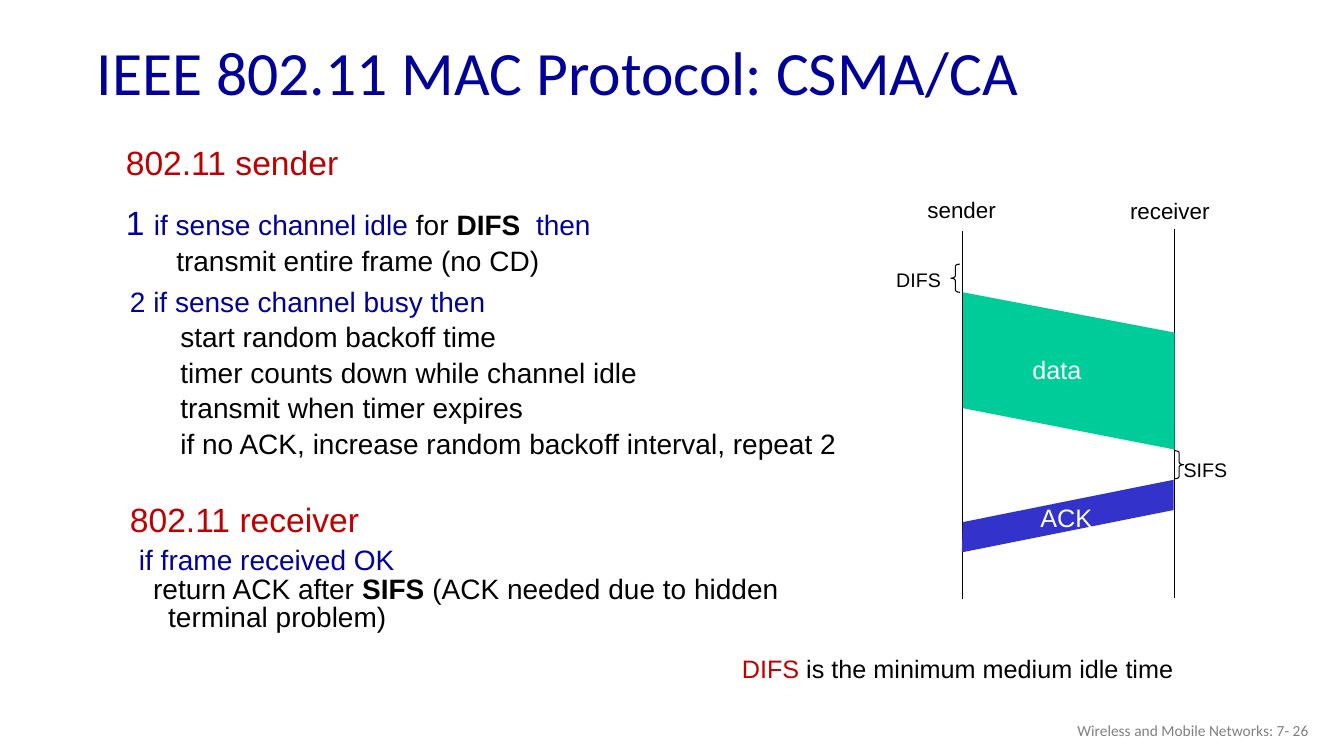
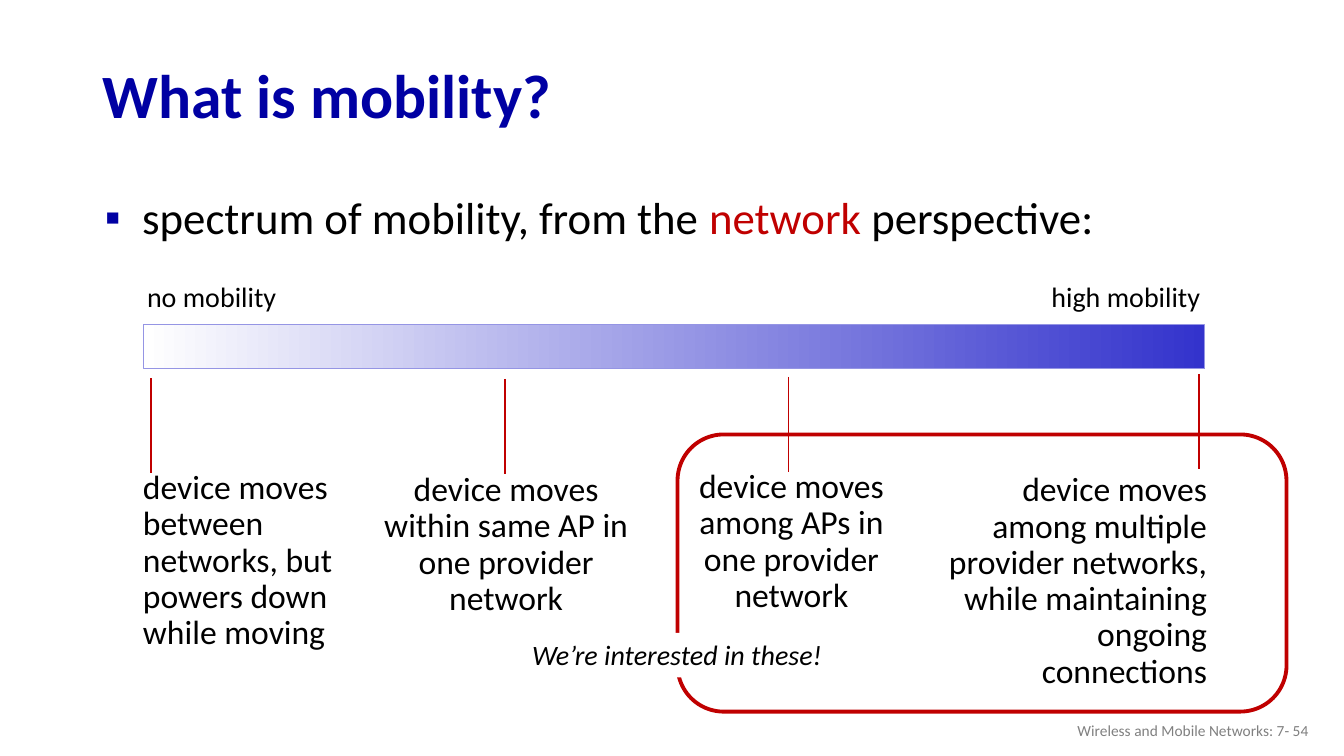
from dataclasses import dataclass
from typing import Optional, Sequence

from lxml.etree import SubElement
from pptx import Presentation
from pptx.dml.color import RGBColor
from pptx.enum.shapes import MSO_CONNECTOR as Connector, MSO_SHAPE as Preset
from pptx.enum.text import MSO_ANCHOR as Anchor, MSO_AUTO_SIZE as AutoSize, PP_ALIGN as Align
from pptx.oxml.ns import qn
from pptx.util import Pt

PX = 9144
ARIAL = "Arial"
CALIBRI = "Calibri"
BLACK = RGBColor(0x00, 0x00, 0x00)
WHITE = RGBColor(0xFF, 0xFF, 0xFF)
GRAY = RGBColor(0x80, 0x80, 0x80)
RED = RGBColor(0xC0, 0x00, 0x00)
NAVY = RGBColor(0x00, 0x00, 0x99)
TITLE_BLUE = RGBColor(0x00, 0x00, 0xA3)
BLUE = RGBColor(0x33, 0x33, 0xCC)
PALE_BLUE = RGBColor(0x95, 0x95, 0xE4)
GREEN = RGBColor(0x00, 0xCC, 0x99)

TITLE_ONLY, TITLE_AND_BODY = 5, 1


@dataclass(frozen=True)
class Box:
    left: int
    top: int
    width: int
    height: int

    def emu(self) -> tuple:
        return tuple(PX * value for value in (self.left, self.top, self.width, self.height))


@dataclass(frozen=True)
class Run:
    text: str
    color: Optional[RGBColor] = None
    size: Optional[int] = None
    bold: bool = False


@dataclass(frozen=True)
class Line:
    runs: Sequence[Run]
    margin: int = 0
    first: int = 0
    before: int = 0
    after: int = 0
    bullet: str = ""


@dataclass(frozen=True)
class Stage:
    box: Box
    lines: Sequence[str]
    align: Align
    tick_x: int
    tick_top: int


@dataclass(frozen=True)
class Band:
    points: Sequence[tuple]
    color: RGBColor
    label: str
    label_box: Box


def write_text(frame, content, *, font=CALIBRI, size=20, color=BLACK, bold=False,
               italic=False, align=Align.LEFT, spacing=1.0, anchor=Anchor.TOP,
               wrap=True) -> None:
    frame.word_wrap = wrap
    frame.auto_size = AutoSize.NONE if wrap else AutoSize.SHAPE_TO_FIT_TEXT
    frame.vertical_anchor = anchor
    lines = [Line([Run(content)])] if isinstance(content, str) else content
    for index, line in enumerate(lines):
        paragraph = frame.paragraphs[0] if index == 0 else frame.add_paragraph()
        paragraph.alignment = align
        paragraph.line_spacing = spacing
        paragraph.space_before = Pt(line.before)
        paragraph.space_after = Pt(line.after)
        properties = paragraph._p.get_or_add_pPr()
        properties.set("marL", str(line.margin * PX))
        properties.set("indent", str((line.first - line.margin) * PX))
        if line.bullet:
            bullet_color = SubElement(properties, qn("a:buClr"))
            SubElement(bullet_color, qn("a:srgbClr")).set("val", str(TITLE_BLUE))
            SubElement(properties, qn("a:buChar")).set("char", line.bullet)
        for item in line.runs:
            run = paragraph.add_run()
            run.text = item.text
            run.font.name = font
            run.font.size = Pt(item.size or size)
            run.font.bold = bold or item.bold
            run.font.italic = italic
            run.font.color.rgb = color if item.color is None else item.color


def add_text(slide, box: Box, content, **text_format):
    shape = slide.shapes.add_textbox(*box.emu())
    write_text(shape.text_frame, content, **text_format)
    return shape


def fill_placeholder(placeholder, box: Box, content, **text_format) -> None:
    placeholder.left, placeholder.top, placeholder.width, placeholder.height = box.emu()
    write_text(placeholder.text_frame, content, spacing=0.9, **text_format)


def add_line(slide, x: int, top: int, bottom: int, color: RGBColor, width: float) -> None:
    connector = slide.shapes.add_connector(
        Connector.STRAIGHT, x * PX, top * PX, x * PX, bottom * PX)
    connector.line.color.rgb = color
    connector.line.width = Pt(width)
    SubElement(connector._element.spPr, qn("a:effectLst"))


def add_outline(slide, preset: Preset, box: Box, color: RGBColor, width: float):
    shape = slide.shapes.add_shape(preset, *box.emu())
    shape.shadow.inherit = False
    shape.fill.background()
    shape.line.color.rgb = color
    shape.line.width = Pt(width)
    return shape


def add_band(slide, band: Band) -> None:
    builder = slide.shapes.build_freeform(*band.points[0], scale=PX)
    builder.add_line_segments(band.points[1:], close=True)
    shape = builder.convert_to_shape()
    shape.shadow.inherit = False
    shape.fill.solid()
    shape.fill.fore_color.rgb = band.color
    shape.line.fill.background()
    add_text(slide, band.label_box, band.label, font=ARIAL, size=18, color=WHITE, wrap=False)


def add_slide(presentation, layout: int, number: int, title: str, title_box: Box,
              color: RGBColor, bold: bool):
    slide = presentation.slides.add_slide(presentation.slide_layouts[layout])
    fill_placeholder(slide.shapes.title, title_box, title, size=44, color=color,
                     bold=bold, anchor=Anchor.MIDDLE)
    add_text(slide, Box(1008, 705, 300, 40), f"Wireless and Mobile Networks: 7- {number}",
             size=11, color=GRAY, align=Align.RIGHT, anchor=Anchor.MIDDLE)
    return slide


def step(text: str) -> Line:
    return Line([Run(text)], margin=81, first=50, before=5)


def heading(text: str, after: int) -> Line:
    return Line([Run(text, RED, 24)], margin=38, before=6, after=after)


def build_protocol_slide(presentation) -> None:
    slide = add_slide(presentation, TITLE_ONLY, 26, "IEEE 802.11 MAC Protocol: CSMA/CA",
                      Box(86, 26, 1150, 98), NAVY, False)
    idle_rule = [
        heading("802.11 sender", 12),
        Line([Run("1 ", NAVY, 24), Run("if sense channel idle", NAVY), Run(" for "),
              Run("DIFS ", bold=True), Run(" then", NAVY)], margin=38, before=6),
        step("transmit entire frame (no CD)"),
    ]
    busy_rule = [
        Line([Run("2 if sense channel busy then", NAVY)], margin=38, before=5),
        *map(step, ("start random backoff time",
                    "timer counts down while channel idle",
                    "transmit when timer expires",
                    "if no ACK, increase random backoff interval, repeat 2")),
    ]
    receiver_rule = [
        heading("802.11 receiver", 6),
        Line([Run("if frame received OK", NAVY)], margin=38, first=9),
        Line([Run("return ACK after "), Run("SIFS ", bold=True),
              Run("(ACK needed due to hidden terminal problem)")], margin=38, first=23),
    ]
    for box, content in (
        (Box(115, 142, 731, 141), idle_rule),
        (Box(119, 282, 731, 186), busy_rule),
        (Box(119, 496, 731, 186), receiver_rule),
    ):
        add_text(slide, box, content, font=ARIAL, spacing=0.85)

    add_line(slide, 955, 229, 594, BLACK, 0.75)
    add_line(slide, 1165, 227, 593, BLACK, 0.75)
    for band in (
        Band([(955, 290), (1165, 330), (1165, 446), (955, 405)], GREEN,
             "data", Box(1014, 347, 69, 40)),
        Band([(954, 548), (1164, 506), (1164, 476), (955, 518)], BLUE,
             "ACK", Box(1022, 493, 72, 40)),
    ):
        add_band(slide, band)
    for preset, box in (
        (Preset.LEFT_BRACE, Box(943, 262, 9, 28)),
        (Preset.RIGHT_BRACE, Box(1165, 447, 9, 28)),
    ):
        add_outline(slide, preset, box, BLACK, 0.75).adjustments[0] = 0.25
    for label, box, size in (
        ("sender", Box(910, 190, 91, 37), 16),
        ("receiver", Box(1111, 191, 100, 37), 16),
        ("DIFS", Box(879, 261, 65, 34), 14),
        ("SIFS", Box(1164, 449, 64, 34), 14),
    ):
        add_text(slide, box, label, font=ARIAL, size=size, wrap=False)
    add_text(slide, Box(726, 643, 600, 40),
             [Line([Run("DIFS", RED), Run(" is the minimum medium idle time")])],
             font=ARIAL, size=18)


def build_mobility_slide(presentation) -> None:
    slide = add_slide(presentation, TITLE_AND_BODY, 54, "What is mobility?",
                      Box(92, 49, 1150, 98), TITLE_BLUE, True)
    topic = Line([Run("spectrum of mobility, from the "), Run("network", RED),
                  Run(" perspective:")], margin=39, first=2, before=10, bullet="▪")
    fill_placeholder(slide.placeholders[1], Box(92, 189, 1150, 60), [topic], size=32)

    spectrum = add_outline(slide, Preset.RECTANGLE, Box(142, 322, 1053, 44), PALE_BLUE, 0.75)
    spectrum.fill.gradient()
    spectrum.fill.gradient_angle = 0
    for stop, color in zip(spectrum.fill.gradient_stops, (WHITE, BLUE)):
        stop.color.rgb = color
    for label, box in (("no mobility", Box(136, 272, 198, 44)),
                       ("high mobility", Box(1033, 272, 224, 44))):
        add_text(slide, box, label, wrap=False)

    stages = (
        Stage(Box(132, 462, 266, 192),
              ("device moves", "between networks, but", "powers down", "while moving"),
              Align.LEFT, 150, 375),
        Stage(Box(371, 464, 262, 156),
              ("device moves within same AP in", "one provider", "network"),
              Align.CENTER, 501, 376),
        Stage(Box(667, 461, 236, 156),
              ("device moves among APs in", "one provider", "network"),
              Align.CENTER, 782, 374),
        Stage(Box(918, 464, 289, 228),
              ("device moves", "among multiple", "provider networks,",
               "while maintaining", "ongoing connections"),
              Align.RIGHT, 1189, 371),
    )
    for stage in stages:
        add_text(slide, stage.box, [Line([Run(text)]) for text in stage.lines],
                 size=24, align=stage.align, spacing=0.9)
        add_line(slide, stage.tick_x, stage.tick_top, stage.tick_top + 94, RED, 1.25)

    add_outline(slide, Preset.ROUNDED_RECTANGLE, Box(672, 431, 604, 275), RED, 2.75)
    remark = add_text(slide, Box(518, 628, 317, 44), "We’re interested in these!",
                      italic=True, wrap=False)
    remark.fill.solid()
    remark.fill.fore_color.rgb = WHITE


def main() -> None:
    presentation = Presentation()
    presentation.slide_width = 1333 * PX
    presentation.slide_height = 750 * PX
    build_protocol_slide(presentation)
    build_mobility_slide(presentation)
    presentation.save("out.pptx")


if __name__ == "__main__":
    main()
